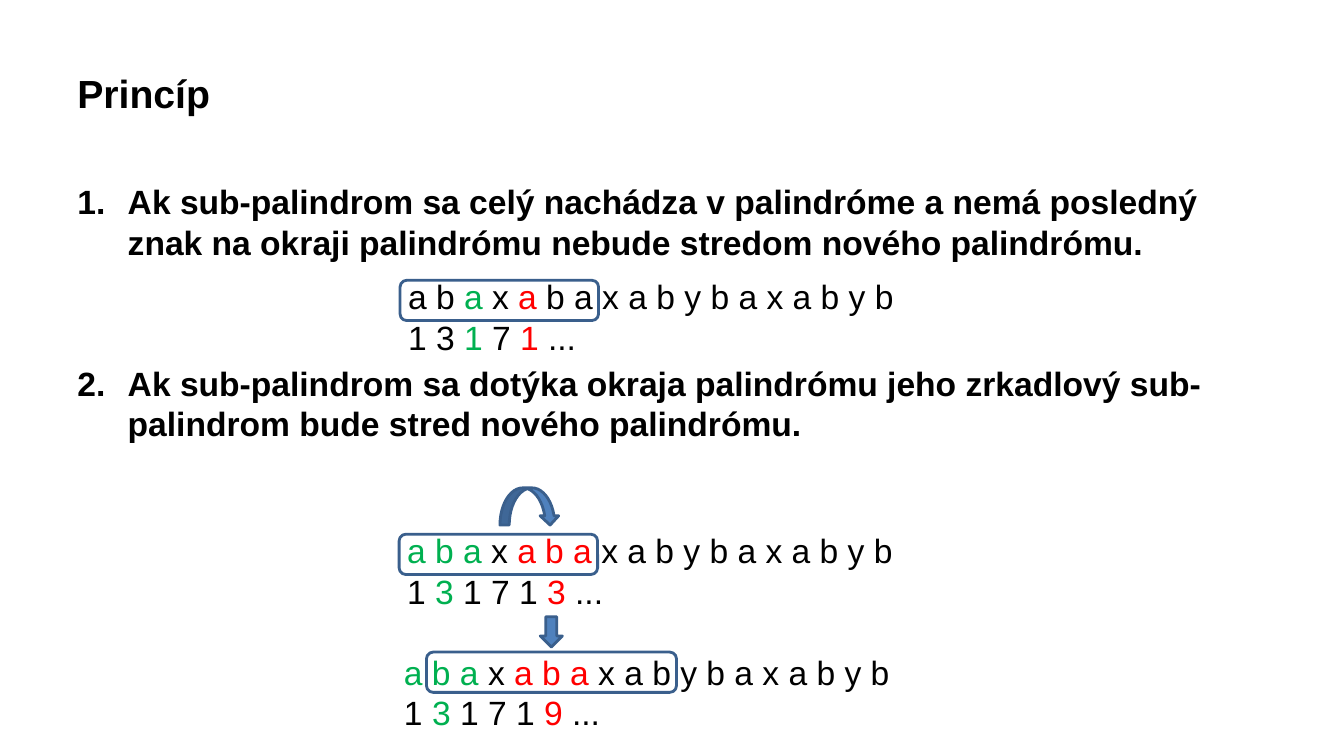
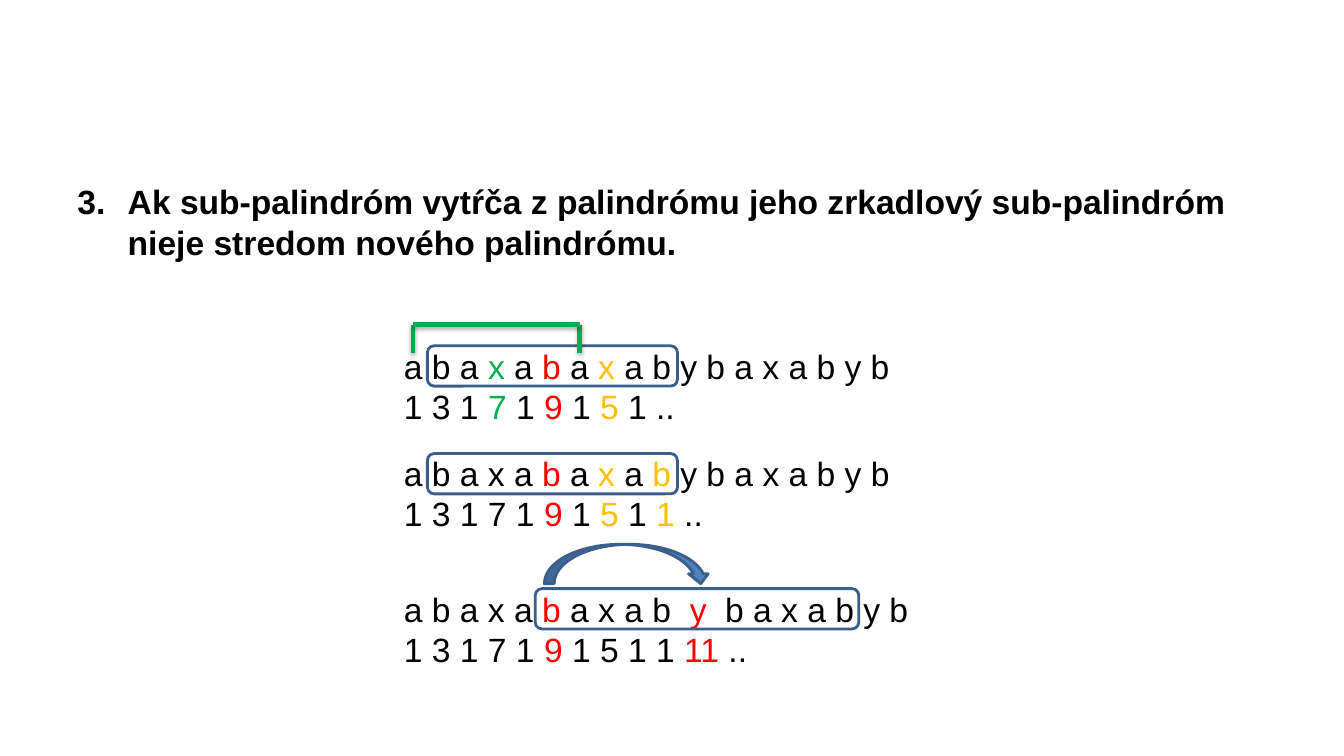
from dataclasses import dataclass

from lxml import etree
from pptx import Presentation
from pptx.dml.color import RGBColor
from pptx.enum.shapes import MSO_CONNECTOR, MSO_SHAPE
from pptx.enum.text import MSO_ANCHOR
from pptx.oxml.ns import qn
from pptx.util import Pt

ROUNDED = MSO_SHAPE.ROUNDED_RECTANGLE
CURVED_ARROW = MSO_SHAPE.CURVED_DOWN_ARROW
DOWN_ARROW = MSO_SHAPE.DOWN_ARROW
STRAIGHT = MSO_CONNECTOR.STRAIGHT
MIDDLE = MSO_ANCHOR.MIDDLE
TOP = MSO_ANCHOR.TOP


@dataclass(frozen=True)
class Theme:
    font: str = "Arial"
    title_size: int = 28
    text_size: int = 24
    black: str = "000000"
    green: str = "00B050"
    red: str = "FF0000"
    amber: str = "FFC000"
    arrow: str = "4F81BD"
    outline: str = "3A5F8C"
    outline_width: int = 2
    bracket_width: int = 3


THEME = Theme()
BLACK, GREEN, RED, AMBER = THEME.black, THEME.green, THEME.red, THEME.amber

SLIDE_SIZE = (960, 540)
TITLE_BOX = (48.2, 21.6, 864, 90)
RULES_BOX = (48.2, 126, 864, 356.4)
RULE_INDENT = 36
RULE_GAP = 72
EXAMPLE_SIZE = (380, 65.5)
FRAME_HEIGHT = 28.8
WIDE_SPACE = (" ", BLACK, 6.67)

MIRRORED_LETTERS = [("a b a ", GREEN), ("x ", BLACK), ("a b a ", RED),
                    ("x a b y b a x a b y b", BLACK)]


def mirrored_lengths(last):
    return [("1 ", BLACK), ("3", GREEN), (" 1 7 1 ", BLACK), (last, RED), (" ...", BLACK)]


SLIDES = [
    {
        "title": "Princíp",
        "first_number": 1,
        "rules": [
            "Ak sub-palindrom sa celý nachádza v palindróme a nemá posledný "
            "znak na okraji palindrómu nebude stredom nového palindrómu.",
            "Ak sub-palindrom sa dotýka okraja palindrómu jeho zrkadlový "
            "sub-palindrom bude stred nového palindrómu.",
        ],
        "examples": [
            {
                "at": (284.4, 193.7),
                "frame": (285.8, 200.2, 141.8),
                "letters": [("a b ", BLACK), ("a", GREEN), (" x ", BLACK), ("a", RED),
                            (" b a x a b y b a x a b y b", BLACK)],
                "lengths": [("1 3 ", BLACK), ("1", GREEN), (" 7 ", BLACK), ("1", RED),
                            (" ...", BLACK)],
            },
            {
                "at": (283.7, 375.1),
                "frame": (285.1, 381.6, 141.8),
                "letters": MIRRORED_LETTERS,
                "lengths": mirrored_lengths("3"),
            },
            {
                "at": (281.5, 462.2),
                "frame": (304.6, 465.8, 178.6),
                "letters": MIRRORED_LETTERS,
                "lengths": mirrored_lengths("9"),
            },
        ],
        "arrows": [
            (CURVED_ARROW, (357.1, 348.5, 42.5, 26.6)),
            (DOWN_ARROW, (385.9, 440.6, 15.8, 21.6)),
        ],
    },
    {
        "first_number": 3,
        "rules": [
            "Ak sub-palindróm vytŕča z palindrómu jeho zrkadlový sub-palindróm "
            "nieje stredom nového palindrómu.",
        ],
        "examples": [
            {
                "at": (281.5, 243.4),
                "frame": (305.3, 247, 178.6),
                "letters": [("a b a ", BLACK), ("x", GREEN), (" a ", BLACK), ("b", RED),
                            (" a ", BLACK), ("x", AMBER), (" a b y b a x a b y b", BLACK)],
                "lengths": [("1 3 1 ", BLACK), ("7", GREEN), (" 1 ", BLACK), ("9", RED),
                            (" 1 ", BLACK), ("5 ", AMBER), ("1 ..", BLACK)],
            },
            {
                "at": (281.5, 319.7),
                "frame": (305.3, 324, 178.6),
                "letters": [("a b a x a ", BLACK), ("b", RED), (" a ", BLACK), ("x", AMBER),
                            (" a ", BLACK), ("b", AMBER), (" y b a x a b y b", BLACK)],
                "lengths": [("1 3 1 7 1 ", BLACK), ("9", RED), (" 1 ", BLACK), ("5 ", AMBER),
                            ("1 ", BLACK), ("1 ", AMBER), ("..", BLACK)],
            },
            {
                "at": (281.5, 416.9),
                "frame": (382.3, 420.5, 231.1),
                "letters": [("a b a x a ", BLACK), ("b", RED), (" a x a b", BLACK), WIDE_SPACE,
                            ("y", RED), WIDE_SPACE, ("b a x a b y b", BLACK)],
                "lengths": [("1 3 1 7 1 ", BLACK), ("9", RED), (" 1 5 1 1 ", BLACK),
                            ("11 ", RED), ("..", BLACK)],
            },
        ],
        "arrows": [(CURVED_ARROW, (388.8, 388.8, 118.8, 28.1))],
        "bracket": (295.2, 231.8, 414, 252),
    },
]


def points(values):
    return [Pt(value) for value in values]


def color(value):
    return RGBColor.from_string(value)


def add_run(paragraph, text, fill, spacing=0, size=THEME.text_size, bold=False):
    run = paragraph.add_run()
    run.text = text
    run.font.name = THEME.font
    run.font.size = Pt(size)
    run.font.bold = bold
    run.font.color.rgb = color(fill)
    if spacing:
        run.font._element.set("spc", str(round(spacing * 100)))


def add_text_box(slide, box, anchor=TOP):
    frame = slide.shapes.add_textbox(*points(box)).text_frame
    frame.word_wrap = True
    frame.vertical_anchor = anchor
    return frame


def add_paragraph(frame, index):
    return frame.add_paragraph() if index else frame.paragraphs[0]


def add_title(slide, text):
    frame = add_text_box(slide, TITLE_BOX, MIDDLE)
    add_run(frame.paragraphs[0], text, BLACK, size=THEME.title_size, bold=True)


def add_rules(slide, rules, first_number):
    frame = add_text_box(slide, RULES_BOX)
    for index, rule in enumerate(rules):
        paragraph = add_paragraph(frame, index)
        properties = paragraph._p.get_or_add_pPr()
        properties.set("marL", str(Pt(RULE_INDENT)))
        properties.set("indent", str(-Pt(RULE_INDENT)))
        etree.SubElement(properties, qn("a:buAutoNum"), type="arabicPeriod",
                         startAt=str(first_number))
        if index:
            paragraph.space_before = Pt(RULE_GAP)
        add_run(paragraph, rule, BLACK, bold=True)


def add_outlined_shape(slide, kind, box, fill=None):
    shape = slide.shapes.add_shape(kind, *points(box))
    shape.shadow.inherit = False
    if fill:
        shape.fill.solid()
        shape.fill.fore_color.rgb = color(fill)
    else:
        shape.fill.background()
    shape.line.color.rgb = color(THEME.outline)
    shape.line.width = Pt(THEME.outline_width)


def add_example(slide, example):
    frame = add_text_box(slide, example["at"] + EXAMPLE_SIZE)
    for index, row in enumerate((example["letters"], example["lengths"])):
        paragraph = add_paragraph(frame, index)
        for run in row:
            add_run(paragraph, *run)
    add_outlined_shape(slide, ROUNDED, example["frame"] + (FRAME_HEIGHT,))


def add_soft_shadow(connector):
    effects = etree.SubElement(connector._element.spPr, qn("a:effectLst"))
    shadow = etree.SubElement(effects, qn("a:outerShdw"), blurRad=str(Pt(3.1)),
                              dist=str(Pt(1.8)), dir="5400000", rotWithShape="0")
    shade = etree.SubElement(shadow, qn("a:srgbClr"), val=BLACK)
    etree.SubElement(shade, qn("a:alpha"), val="35000")


def add_bracket(slide, left, top, right, bottom):
    for ends in ((left, bottom, left, top), (right, bottom, right, top),
                 (right, top, left, top)):
        connector = slide.shapes.add_connector(STRAIGHT, *points(ends))
        connector.line.color.rgb = color(GREEN)
        connector.line.width = Pt(THEME.bracket_width)
        add_soft_shadow(connector)


def add_slide(presentation, content):
    slide = presentation.slides.add_slide(presentation.slide_layouts[6])
    if "title" in content:
        add_title(slide, content["title"])
    add_rules(slide, content["rules"], content["first_number"])
    for example in content["examples"]:
        add_example(slide, example)
    for kind, box in content["arrows"]:
        add_outlined_shape(slide, kind, box, THEME.arrow)
    if "bracket" in content:
        add_bracket(slide, *content["bracket"])


def main():
    presentation = Presentation()
    presentation.slide_width, presentation.slide_height = points(SLIDE_SIZE)
    for content in SLIDES:
        add_slide(presentation, content)
    presentation.save("out.pptx")


if __name__ == "__main__":
    main()
